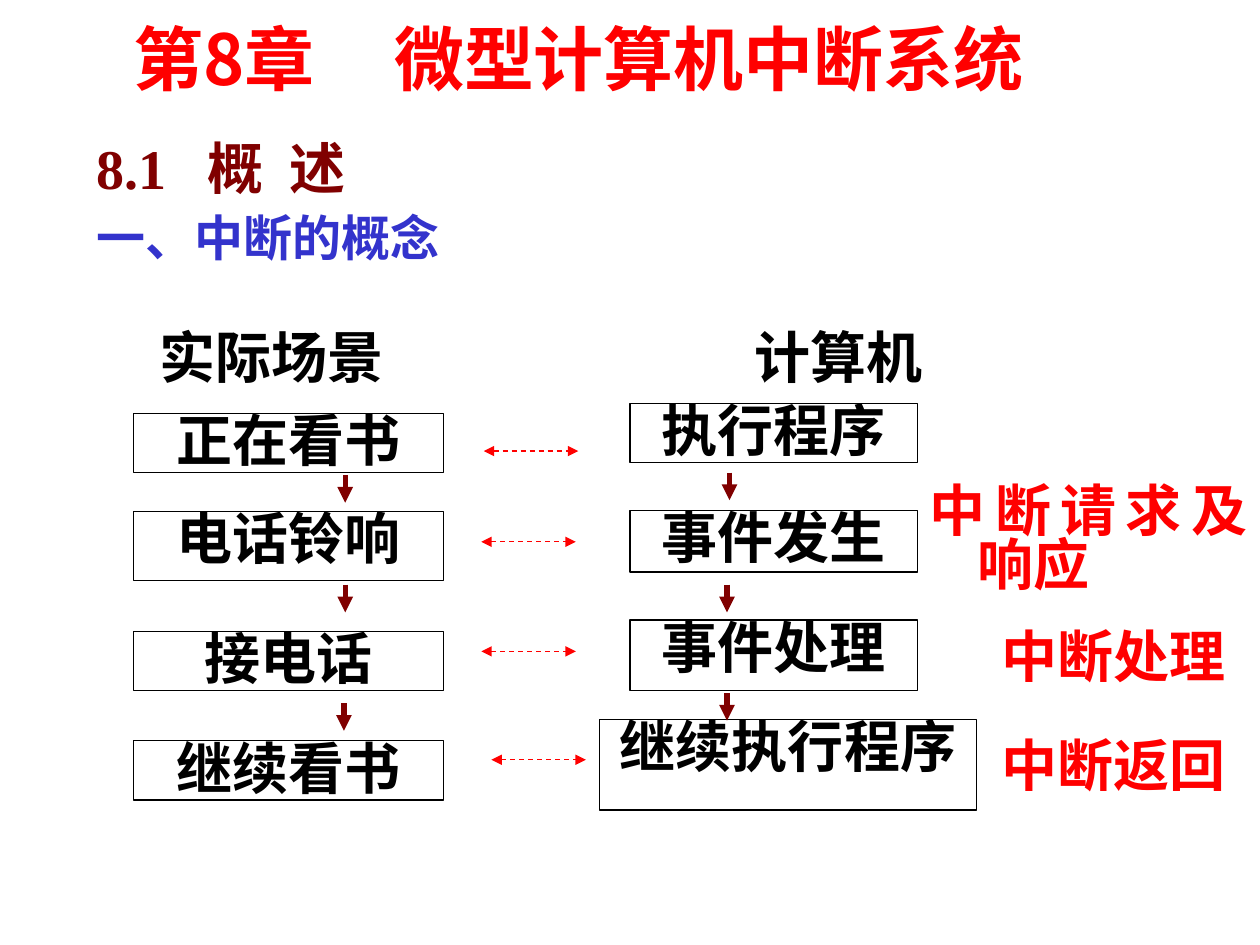
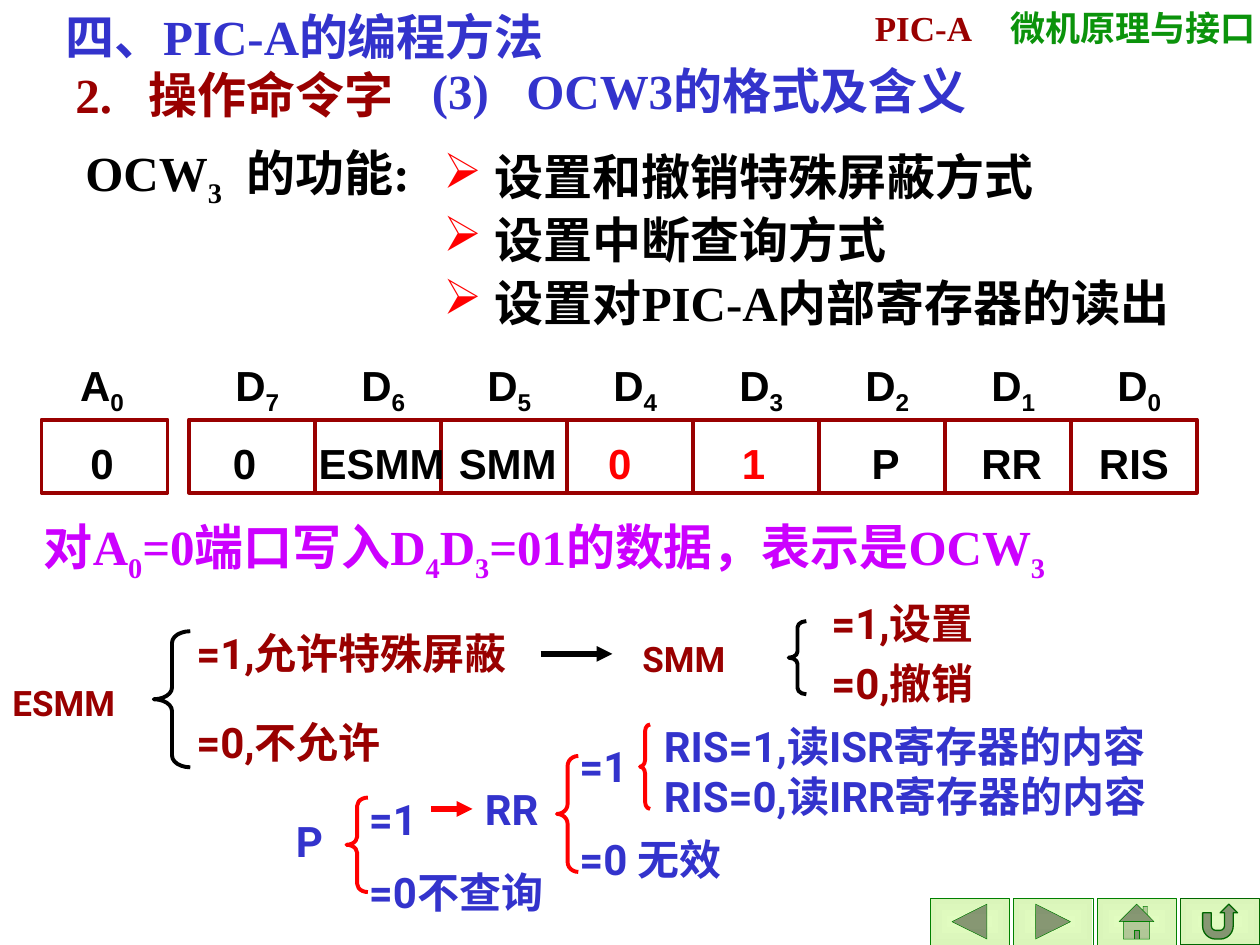
from lxml.etree import SubElement as Sub
from pptx import Presentation
from pptx.dml.color import RGBColor as RGB
from pptx.enum.dml import MSO_LINE
from pptx.enum.shapes import MSO_CONNECTOR as Link, MSO_SHAPE as Kind
from pptx.enum.text import MSO_ANCHOR as Anchor, PP_ALIGN as Align
from pptx.oxml.ns import qn
from pptx.util import Inches, Pt

INK = {
    "black": "000000", "red": "FF0000", "maroon": "800000", "wine": "990000",
    "blue": "3333CC", "purple": "CC00FF", "green": "008000", "leaf": "0B930B",
    "pine": "006600", "pale": "E1FCC0", "lime": "DAF5BA",
}
SERIF, SANS, ROBOTO, CJK = "Times New Roman", "Arial", "Roboto", "Noto Sans CJK SC"


def tint(name):
    """Return the named colour."""
    return RGB.from_string(INK[name])


def fill_text(para, text):
    """Write text, lowering each character that follows an underscore."""
    head, *rest = text.split("_")
    pieces = [(head, False)]
    for part in rest:
        pieces += [(part[0], True), (part[1:], False)]
    for piece, low in pieces:
        if piece:
            run = para.add_run()
            run.text = piece
            if low:
                run.font._element.set("baseline", "-25000")


def add_stops(para, stops):
    """Set left tab stops in inches."""
    tabs = Sub(para._p.get_or_add_pPr(), qn("a:tabLst"))
    for stop in stops:
        Sub(tabs, qn("a:tab"), pos=str(Inches(stop)), algn="l")


def add_mark(para):
    """Give a paragraph a red arrow bullet."""
    props = para._p.get_or_add_pPr()
    Sub(Sub(props, qn("a:buClr")), qn("a:srgbClr"), val=INK["red"])
    Sub(props, qn("a:buChar"), char="➢")


def hang(para, depth):
    """Set a hanging indent in inches."""
    props = para._p.get_or_add_pPr()
    props.set("marL", str(Inches(depth)))
    props.set("indent", str(-Inches(depth)))


def write(frame, text, size, ink, font=SERIF, align=Align.LEFT, lead=None,
          stops=(), mark=False, depth=0, pad=(0.1, 0.05), middle=False):
    """Fill a text frame with bold paragraphs, one for each line."""
    frame.word_wrap = True
    frame.vertical_anchor = Anchor.MIDDLE if middle else Anchor.TOP
    frame.margin_left = frame.margin_right = Inches(pad[0])
    frame.margin_top = frame.margin_bottom = Inches(pad[1])
    for i, line in enumerate(text.split("\n")):
        para = frame.add_paragraph() if i else frame.paragraphs[0]
        fill_text(para, line)
        para.alignment = align
        if lead:
            para.line_spacing = lead
        if i:
            para.space_before = Pt(size * 0.2)
        if depth:
            hang(para, depth)
        if mark:
            add_mark(para)
        if stops:
            add_stops(para, stops)
        face = para.font
        face.size, face.bold, face.name = Pt(size), True, font
        face.color.rgb = tint(ink)


def label(page, text, box, size, ink, **look):
    """Add a text box."""
    area = page.shapes.add_textbox(*map(Inches, box))
    write(area.text_frame, text, size, ink, **look)


def frame(page, kind, box, ink, width):
    """Add an unfilled preset shape with a coloured line."""
    shape = page.shapes.add_shape(kind, *map(Inches, box))
    shape.shadow.inherit = False
    shape.fill.background()
    shape.line.color.rgb = tint(ink)
    shape.line.width = Pt(width)
    return shape


def step(page, text, box):
    """Add a flow box with centred text."""
    shape = frame(page, Kind.RECTANGLE, box, "black", 0.75)
    write(shape.text_frame, text, 32, "black", align=Align.CENTER,
          lead=0.9, pad=(0, 0))


def brace(page, box, curve, ink):
    """Add a left brace."""
    frame(page, Kind.LEFT_BRACE, box, ink, 2.25).adjustments[0] = curve


def arrow(page, start, end, ink, width=3, both=False):
    """Add an arrow, dashed when it points both ways."""
    link = page.shapes.add_connector(
        Link.STRAIGHT, *map(Inches, (*start, *end)))
    link.line.color.rgb = tint(ink)
    link.line.width = Pt(width)
    if both:
        link.line.dash_style = MSO_LINE.DASH
    props = link._element.spPr
    for tip in ("a:headEnd", "a:tailEnd")[0 if both else 1:]:
        Sub(props.find(qn("a:ln")), qn(tip), type="triangle")
    Sub(props, qn("a:effectLst"))


def button(page, kind, box, ink, width):
    """Add a pale green navigation button."""
    shape = frame(page, kind, box, ink, width)
    shape.fill.gradient()
    for stop, name, place in zip(shape.fill.gradient_stops, ("pale", "lime"), (0, 1)):
        stop.color.rgb = tint(name)
        stop.position = place
    grad = shape._element.spPr.find(qn("a:gradFill"))
    grad.remove(grad.find(qn("a:lin")))
    glow = Sub(grad, qn("a:path"), {"path": "rect"})
    Sub(glow, qn("a:fillToRect"), l="50000", t="50000", r="50000", b="50000")


def draw_flow(page):
    """Compare a daily scene with the computer's interrupt flow."""
    label(page, "第8章\t微型计算机中断系统", (0.96, 0.08, 7.54, 0.75), 40, "red",
          font=CJK, stops=[2.07], middle=True)
    label(page, "8.1\t概\t述", (0.67, 1.07, 5, 0.59), 32, "maroon",
          lead=0.9, stops=[0.88, 1.53])
    label(page, "一、中断的概念", (0.67, 1.65, 3.42, 0.52), 28, "blue",
          font=CJK, lead=0.9)
    for text, left, width in (("实际场景", 0.98, 2.36), ("计算机", 5.16, 2.99)):
        label(page, text, (left, 2.56, width, 0.53), 32, "black", font=SANS,
              align=Align.CENTER, pad=(0, 0))
    for text, top, high in (("正在看书", 3.28, 0.47), ("电话铃响", 4.06, 0.55),
                            ("接电话", 5.01, 0.47), ("继续看书", 5.88, 0.47)):
        step(page, text, (1.06, top, 2.46, high))
    for text, top, high in (("执行程序", 3.2, 0.47), ("事件发生", 4.05, 0.49),
                            ("事件处理", 4.92, 0.56)):
        step(page, text, (5, top, 2.28, high))
    step(page, "继续执行程序", (4.76, 5.71, 2.99, 0.72))
    for x, top in ((2.74, 3.77), (2.74, 4.64), (2.73, 5.58),
                   (5.79, 3.75), (5.77, 4.64), (5.77, 5.5)):
        arrow(page, (x, top), (x, top + 0.22), "maroon")
    for x, y in ((3.84, 3.58), (3.82, 4.3), (3.82, 5.17), (3.9, 6.03)):
        arrow(page, (x, y), (x + 0.75, y), "red", 0.75, both=True)
    label(page, "中断请求及响应", (7.28, 3.83, 2.72, 1.02), 32, "red",
          align=Align.JUSTIFY, lead=0.8, depth=0.38)
    for text, top in (("中断处理", 4.93), ("中断返回", 5.8)):
        label(page, text, (7.67, top, 2.33, 0.6), 32, "red",
              align=Align.CENTER, pad=(0.1, 0))


def draw_nav(page):
    """Add the course name and the navigation buttons."""
    label(page, "微机原理与接口", (7.92, 0, 2.25, 0.43), 20, "leaf")
    kinds = (Kind.ACTION_BUTTON_BACK_OR_PREVIOUS,
             Kind.ACTION_BUTTON_FORWARD_OR_NEXT,
             Kind.ACTION_BUTTON_HOME, Kind.ACTION_BUTTON_RETURN)
    for i, kind in enumerate(kinds):
        line = ("pine", 0.75) if i == 3 else ("green", 0.25)
        button(page, kind, (7.38 + i * 0.663, 7.13, 0.63, 0.37), *line)


def draw_word(page):
    """Draw the bit fields of the command word."""
    for left in (0.33, *(1.5 + i for i in range(8))):
        frame(page, Kind.RECTANGLE, (left, 3.33, 1, 0.58), "wine", 2.25)
    bits = "\t".join(f"D_{n}" for n in range(7, -1, -1))
    label(page, bits, (1.77, 2.83, 7.8, 0.5), 24, "black", font=SANS,
          stops=range(1, 8), middle=True)
    cells = (("A_0", 0.81, 2.83, "black"), ("0", 0.81, 3.42, "black"),
             ("0", 1.94, 3.42, "black"), ("ESMM", 3.03, 3.42, "black"),
             ("SMM", 4.03, 3.42, "black"), ("0", 4.92, 3.42, "red"),
             ("1", 5.98, 3.42, "red"), ("P", 7.03, 3.42, "black"),
             ("RR", 8.03, 3.42, "black"), ("RIS", 9, 3.42, "black"))
    for text, mid, top, ink in cells:
        label(page, text, (mid - 0.65, top, 1.3, 0.5), 24, ink, font=SANS,
              align=Align.CENTER, middle=True)


def draw_tree(page):
    """Draw the meanings of the bits as braces and arrows."""
    notes = (("ESMM", 0, 5.36, 2, 20, "wine"),
             ("=1,允许特殊屏蔽", 1.46, 4.93, 2.81, 24, "wine"),
             ("=0,不允许", 1.46, 5.64, 3.14, 24, "wine"),
             ("SMM", 5, 5.01, 2, 20, "wine"),
             ("=1,设置", 6.5, 4.69, 3, 24, "wine"),
             ("=0,撤销", 6.5, 5.17, 3.35, 24, "wine"),
             ("RR", 3.75, 6.17, 0.92, 24, "blue"),
             ("RIS=1,读ISR寄存器的内容", 5.17, 5.67, 4.5, 24, "blue"),
             ("RIS=0,读IRR寄存器的内容", 5.17, 6.07, 4.5, 24, "blue"),
             ("=1", 4.5, 5.83, 0.83, 24, "blue"),
             ("=0 无效", 4.5, 6.57, 2.33, 24, "blue"),
             ("P", 2.25, 6.42, 0.92, 24, "blue"),
             ("=1", 2.83, 6.25, 0.83, 24, "blue"),
             ("=0不查询", 2.83, 6.83, 1.83, 24, "blue"))
    for text, left, top, width, size, ink in notes:
        label(page, text, (left, top, width, 0.5), size, ink, font=ROBOTO)
    for box, curve, ink in (((1.22, 5.01, 0.29, 1.08), 0.32, "black"),
                            ((6.26, 4.93, 0.14, 0.58), 0.35, "black"),
                            ((4.42, 6, 0.17, 0.92), 0.46, "red"),
                            ((5.08, 5.75, 0.08, 0.67), 0.67, "red"),
                            ((2.75, 6.33, 0.17, 0.75), 0.38, "red")):
        brace(page, box, curve, ink)
    arrow(page, (4.29, 5.19), (4.86, 5.19), "black")
    arrow(page, (3.42, 6.42), (3.75, 6.42), "red")


def draw_format(page):
    """Explain the format of the OCW3 command word."""
    draw_nav(page)
    label(page, "PIC-A", (6.83, 0, 1, 0.43), 20, "wine", align=Align.CENTER)
    label(page, "2.\t操作命令字", (0.5, 0.42, 4.42, 0.61), 28, "wine",
          lead=1.1, stops=[0.58])
    label(page, "四、PIC-A的编程方法", (0.42, 0, 6.25, 0.57), 28, "blue")
    label(page, "(3)\tOCW3的格式及含义", (3.33, 0.43, 5.83, 0.57), 28, "blue",
          stops=[0.75])
    label(page, "OCW_3\t的功能:", (0.58, 1.08, 2.84, 0.57), 28, "black",
          stops=[1.28])
    label(page, "设置和撤销特殊屏蔽方式\n设置中断查询方式\n设置对PIC-A内部寄存器的读出",
          (3.42, 1.17, 6.58, 1.55), 28, "black", lead=0.9, mark=True, depth=0.41)
    draw_word(page)
    label(page, "对A_0=0端口写入D_4D_3=01的数据，表示是OCW_3",
          (0.25, 4, 9.17, 0.61), 28, "purple", lead=1.1)
    draw_tree(page)


def main():
    """Build and save both slides."""
    deck = Presentation()
    deck.slide_width, deck.slide_height = Inches(10), Inches(7.5)
    for draw in (draw_flow, draw_format):
        draw(deck.slides.add_slide(deck.slide_layouts[6]))
    deck.save("out.pptx")


if __name__ == "__main__":
    main()
